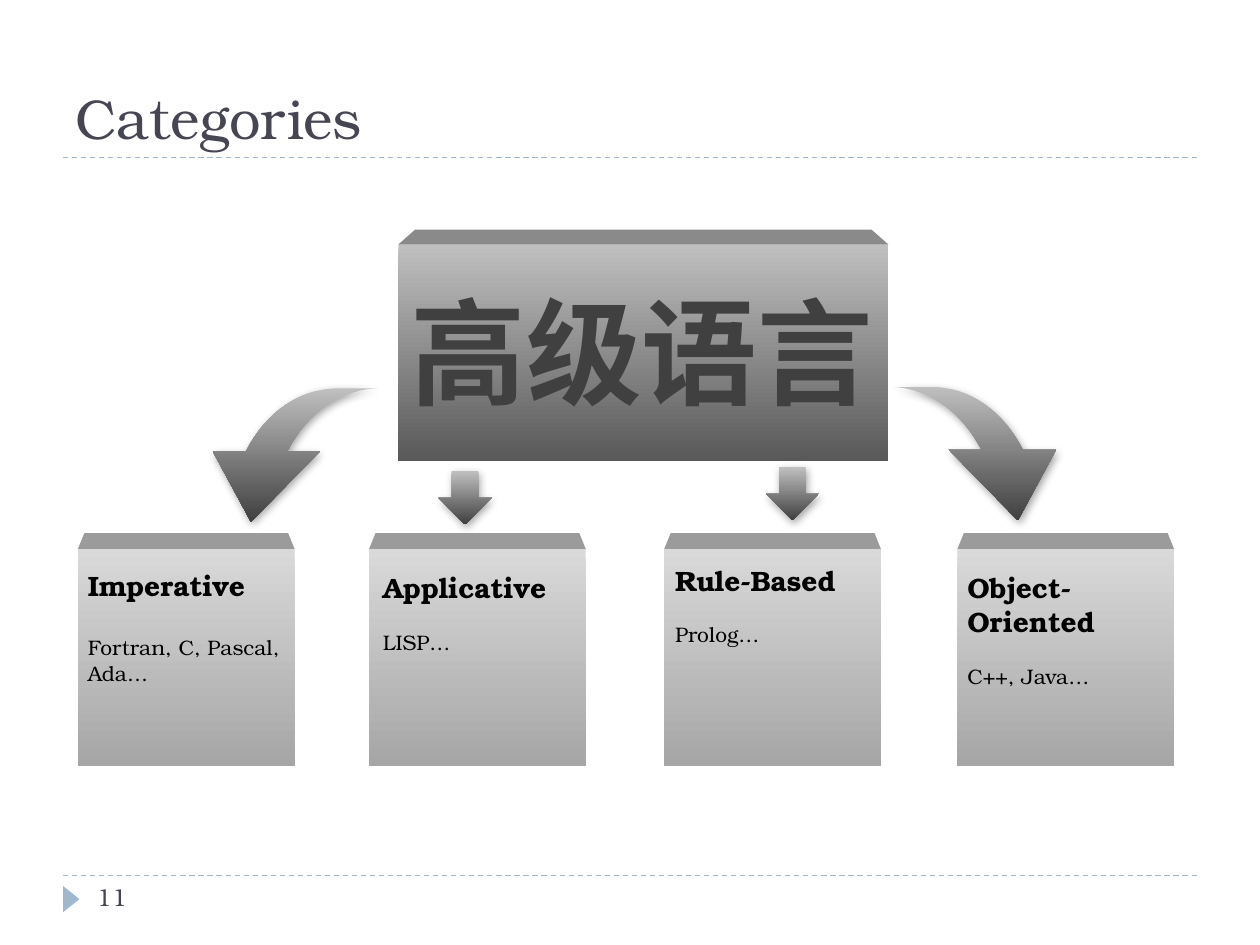
import pptx
import pptx.dml.color
import pptx.enum.dml
import pptx.enum.shapes
import pptx.enum.text
import pptx.oxml
import pptx.oxml.ns
import pptx.util
from lxml import etree

Cm = pptx.util.Cm
Pt = pptx.util.Pt
SHAPE = pptx.enum.shapes.MSO_SHAPE
qn = pptx.oxml.ns.qn


def colour(value):
    """Turn a hex string into a colour."""
    return pptx.dml.color.RGBColor.from_string(value)


def write(paragraph, text, size, color, font="TeX Gyre Bonum", bold=False, before=0):
    """Add formatted text to a paragraph."""
    run = paragraph.add_run()
    run.text = text
    run.font.size = Pt(size)
    run.font.bold = bold
    run.font.name = font
    run.font.color.rgb = colour(color)
    etree.SubElement(run.font._element, qn("a:ea"), typeface=font)
    if before:
        paragraph.space_before = Pt(before)


def bezier(start, first, second, end, steps=16):
    """List the points along a cubic curve after its start."""
    points = []
    for step in range(1, steps + 1):
        t = step / steps
        points.append(tuple(
            (1 - t) ** 3 * a + 3 * t * (1 - t) ** 2 * b + 3 * t * t * (1 - t) * c + t ** 3 * d
            for a, b, c, d in zip(start, first, second, end)))
    return points


class Canvas:
    """Hold the style and the current slide."""

    ink = "464653"
    accent = "9FB8CD"
    arrow_shades = ("BFBFBF", "404040")

    def __init__(self, slide):
        """Keep the slide to draw on."""
        self.slide = slide

    def rule(self, y):
        """Draw a dashed line across the slide."""
        divider = self.slide.shapes.add_connector(
            pptx.enum.shapes.MSO_CONNECTOR.STRAIGHT, Cm(1.27), Cm(y), Cm(24.13), Cm(y))
        divider.line.color.rgb = colour(self.accent)
        divider.line.width = Pt(0.75)
        divider.line.dash_style = pptx.enum.dml.MSO_LINE.DASH
        etree.SubElement(divider._element.spPr, qn("a:effectLst"))

    def text(self, left, top, width, height):
        """Add a wrapping text box and return its frame."""
        frame = self.slide.shapes.add_textbox(Cm(left), Cm(top), Cm(width), Cm(height)).text_frame
        frame.word_wrap = True
        return frame

    def paint(self, shape, shades, shadow=False):
        """Fill a shape with one shade or a downward gradient."""
        shape.shadow.inherit = False
        shape.line.fill.background()
        if len(shades) == 1:
            shape.fill.solid()
            shape.fill.fore_color.rgb = colour(shades[0])
        else:
            shape.fill.gradient()
            shape.fill.gradient_angle = 270
            for stop, shade, position in zip(shape.fill.gradient_stops, shades, (0, 1)):
                stop.color.rgb = colour(shade)
                stop.position = position
        if shadow:
            effects = shape._element.spPr.find(qn("a:effectLst"))
            outer = etree.SubElement(effects, qn("a:outerShdw"), blurRad=str(Pt(5)), dist=str(Pt(2)),
                                     dir=str(62 * 60000), algn="tl", rotWithShape="0")
            black = etree.SubElement(outer, qn("a:srgbClr"), val="000000")
            etree.SubElement(black, qn("a:alpha"), val="37000")

    def preset(self, kind, left, top, width, height, shades, shadow=False):
        """Draw a painted preset shape."""
        shape = self.slide.shapes.add_shape(kind, Cm(left), Cm(top), Cm(width), Cm(height))
        self.paint(shape, shades, shadow)
        return shape

    def block(self, left, top, width, height, shades, lid_shade, lid_height, inset):
        """Draw a box front with a lid seen in perspective."""
        lid = self.preset(SHAPE.TRAPEZOID, left, top - lid_height, width, lid_height, (lid_shade,))
        lid.adjustments[0] = inset / lid_height
        self.preset(SHAPE.RECTANGLE, left, top, width, height, shades)

    def outline(self, points):
        """Draw a closed arrow outline."""
        corners = [(Cm(x), Cm(y)) for x, y in points]
        builder = self.slide.shapes.build_freeform(*corners[0])
        builder.add_line_segments(corners[1:], close=True)
        self.paint(builder.convert_to_shape(), self.arrow_shades, shadow=True)


def main():
    """Build the slide and save it."""
    deck = pptx.Presentation()
    deck.slide_width, deck.slide_height = Cm(25.4), Cm(19.05)
    canvas = Canvas(deck.slides.add_slide(deck.slide_layouts[6]))

    for y in (17.65, 3.18):
        canvas.rule(y)
    marker = canvas.preset(SHAPE.ISOSCELES_TRIANGLE, 1.17, 17.96, 0.53, 0.33, (canvas.accent,))
    marker.rotation = 90

    title = canvas.text(1.27, 0.43, 22.86, 2.74)
    title.vertical_anchor = pptx.enum.text.MSO_ANCHOR.BOTTOM
    write(title.paragraphs[0], "Categories", 32, canvas.ink)
    page_number = canvas.text(1.7, 17.65, 5.51, 1.02)
    write(page_number.paragraphs[0], "11", 14, canvas.ink)

    canvas.block(8.03, 4.93, 9.88, 4.37, ("BFBFBF", "595959"), "8A8A8A", 0.3, 0.34)
    root = canvas.text(8.03, 5.54, 10.67, 3.07)
    write(root.paragraphs[0], "高级语言", 66, "404040", font="Noto Sans CJK SC", bold=True)

    right_curve = [
        (20.52, 10.49), (19.13, 9.07), (19.79, 9.07),
        *bezier((19.79, 9.07), (19.38, 8.28), (18.69, 7.8), (17.93, 7.8)),
        (18.77, 7.8),
        *bezier((18.77, 7.8), (19.53, 7.8), (20.22, 8.28), (20.62, 9.07)),
        (21.29, 9.07)]
    left_curve = [(25.58 - x, y + 0.03) for x, y in right_curve]
    for curve in (left_curve, right_curve):
        canvas.outline(curve)
    for left, top in ((8.84, 9.5), (15.44, 9.42)):
        canvas.preset(SHAPE.DOWN_ARROW, left, top, 1.07, 1.07, canvas.arrow_shades, shadow=True)

    categories = (
        (1.57, 1.52, 11.33, "Imperative", "Fortran, C, Pascal, Ada…", 19),
        (7.44, 7.47, 11.38, "Applicative", "LISP…", 14.4),
        (13.39, 13.36, 11.23, "Rule-Based", "Prolog…", 14.4),
        (19.3, 19.25, 11.38, "Object-Oriented", "C++, Java…", 14.4))
    for left, text_left, text_top, name, examples, gap in categories:
        canvas.block(left, 11.07, 4.37, 4.37, ("D9D9D9", "A6A6A6"), "9B9B9B", 0.32, 0.13)
        label = canvas.text(text_left, text_top, 4.45, 3)
        write(label.paragraphs[0], name, 16, "000000", bold=True)
        write(label.add_paragraph(), examples, 12, "000000", before=gap)

    deck.save("out.pptx")


if __name__ == "__main__":
    main()
